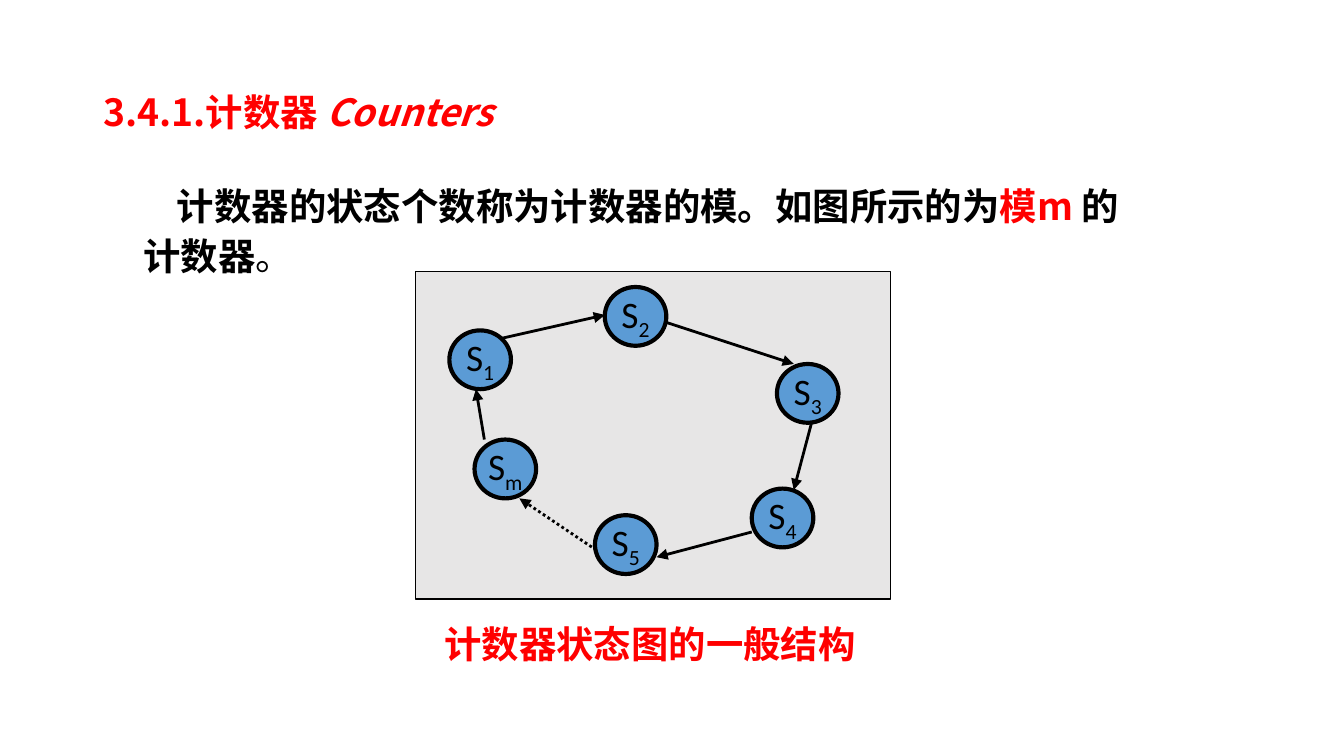
from lxml import etree
from pptx import Presentation
from pptx import util as u
from pptx.dml import color as dml_color
from pptx.enum import dml, shapes, text
from pptx.oxml import ns

SCALE = 9525
CJK = "Noto Sans CJK JP"
RED, BLACK, GREY, BLUE = "FF0000", "000000", "E7E6E6", "5B9BD5"
STATE_SIZE = (44, 42)
STATES = {"1": (24, 42), "2": (135, 11), "3": (258, 66),
          "4": (240, 155), "5": (128, 174), "m": (42, 120)}
TRANSITIONS = [
    ((60, 48), (135, 31), None),
    ((178, 36), (270, 66), None),
    ((283, 107), (270, 156), None),
    ((240, 186), (172, 204), None),
    ((129, 199), (74, 162), dml.MSO_LINE.ROUND_DOT),
    ((49, 120), (43, 84), None),
]


def px(*values):
    """Convert whole px lengths to EMU."""
    return [u.Emu(value * SCALE) for value in values]


def rgb(code):
    """Turn a hex string into a colour."""
    return dml_color.RGBColor.from_string(code)


def set_values(target, values):
    """Set each attribute named in a dict of format values."""
    for name, value in values.items():
        setattr(target, name, value)


def add_run(paragraph, wording, color=BLACK, font_name=CJK, **values):
    """Append a formatted run with matching Latin and East Asian fonts."""
    run = paragraph.add_run()
    run.text = wording
    set_values(run.font, {"size": u.Pt(20), "name": font_name, **values})
    run.font.color.rgb = rgb(color)
    properties = run._r.get_or_add_rPr()
    etree.SubElement(properties, ns.qn("a:ea"), typeface=font_name)
    return run


def paint(shape, fill, width):
    """Give a shape a fill and a black outline without shadow."""
    shape.shadow.inherit = False
    shape.fill.solid()
    shape.fill.fore_color.rgb = rgb(fill)
    shape.line.color.rgb = rgb(BLACK)
    shape.line.width = u.Pt(width)


def add_title(slide, box):
    """Place the section heading in the title placeholder."""
    title = slide.shapes.title
    set_values(title, dict(zip(("left", "top", "width", "height"), px(*box))))
    set_values(title.text_frame, {"vertical_anchor": text.MSO_ANCHOR.MIDDLE,
                                  "word_wrap": True})
    paragraph = title.text_frame.paragraphs[0]
    set_values(paragraph, {"alignment": text.PP_ALIGN.LEFT,
                           "line_spacing": u.Pt(18)})
    add_run(paragraph, "3.4.1.计数器 ", RED, bold=True)
    add_run(paragraph, "Counters", RED, bold=True, italic=True)


def add_definition(slide, box):
    """Place the definition with an indented first line."""
    frame = slide.shapes.add_textbox(*px(*box)).text_frame
    frame.word_wrap = True
    paragraph = frame.paragraphs[0]
    paragraph.line_spacing = u.Pt(27)
    paragraph._p.get_or_add_pPr().set("indent", str(px(24)[0]))
    add_run(paragraph, "计数器的状态个数称为计数器的模。如图所示的为", bold=True)
    add_run(paragraph, "模m ", RED, bold=True)
    add_run(paragraph, "的计数器", bold=True)
    add_run(paragraph, "。", bold=False)


def add_state(group, left, top, index):
    """Draw one state circle with its subscripted label."""
    state = group.shapes.add_shape(shapes.MSO_SHAPE.OVAL,
                                   *px(left, top, *STATE_SIZE))
    paint(state, BLUE, 2.25)
    set_values(state.text_frame, {"word_wrap": False,
                                  "vertical_anchor": text.MSO_ANCHOR.MIDDLE})
    paragraph = state.text_frame.paragraphs[0]
    paragraph.alignment = text.PP_ALIGN.CENTER
    add_run(paragraph, "S", font_name="Calibri")
    subscript = add_run(paragraph, index, font_name="Calibri")
    subscript._r.get_or_add_rPr().set("baseline", "-25000")


def add_transition(group, start, end, dash):
    """Draw one arrow between two states."""
    arrow = group.shapes.add_connector(shapes.MSO_CONNECTOR.STRAIGHT,
                                       *px(*start, *end))
    arrow.line.color.rgb = rgb(BLACK)
    set_values(arrow.line, {"width": u.Pt(1.5), "dash_style": dash})
    etree.SubElement(arrow.line._get_or_add_ln(), ns.qn("a:tailEnd"),
                     type="triangle")
    etree.SubElement(arrow._element.spPr, ns.qn("a:effectLst"))


def add_state_diagram(slide, box):
    """Draw the panel, its states and arrows, and the caption below."""
    left, top, width, height = box
    group = slide.shapes.add_group_shape()
    panel = group.shapes.add_shape(shapes.MSO_SHAPE.RECTANGLE, *px(*box))
    paint(panel, GREY, 0.75)
    for index, (x, y) in STATES.items():
        add_state(group, left + x, top + y, index)
    for start, end, dash in TRANSITIONS:
        add_transition(group, (left + start[0], top + start[1]),
                       (left + end[0], top + end[1]), dash)
    caption = group.shapes.add_textbox(*px(left + 11, top + height + 11, 314, 42))
    caption.text_frame.word_wrap = False
    paragraph = caption.text_frame.paragraphs[0]
    paragraph.line_spacing = u.Pt(24)
    add_run(paragraph, "计数器状态图的一般结构", RED, bold=True)


def main():
    """Build and save the presentation."""
    presentation = Presentation()
    width, height = px(960, 540)
    set_values(presentation, {"slide_width": width, "slide_height": height})
    slide = presentation.slides.add_slide(presentation.slide_layouts[5])
    add_title(slide, (64, 63, 528, 42))
    add_definition(slide, (93, 122, 742, 81))
    add_state_diagram(slide, (297, 194, 339, 234))
    presentation.save("out.pptx")


if __name__ == "__main__":
    main()
